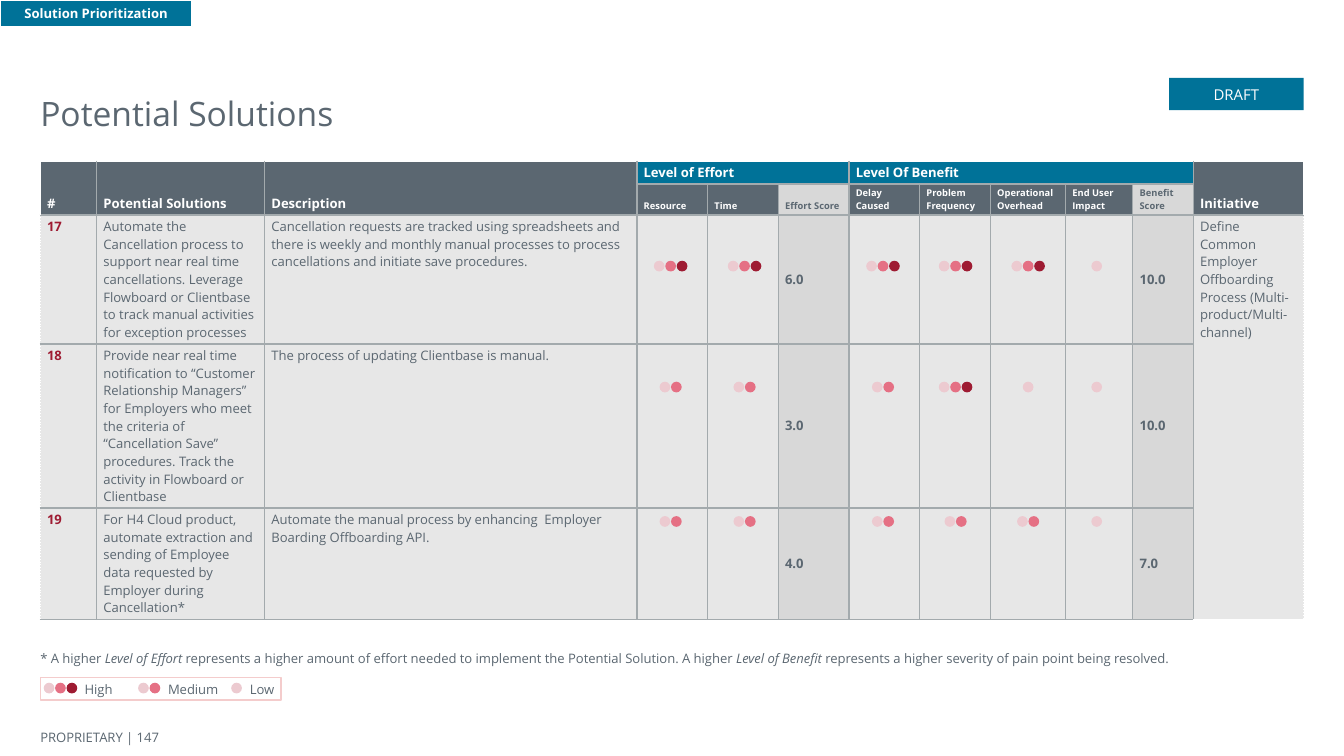
from lxml import etree
from pptx import Presentation
from pptx.dml.color import RGBColor
from pptx.enum.shapes import MSO_SHAPE
from pptx.enum.text import MSO_ANCHOR, PP_ALIGN
from pptx.oxml.ns import qn
from pptx.util import Inches, Pt

RECT, DOT = MSO_SHAPE.RECTANGLE, MSO_SHAPE.FLOWCHART_CONNECTOR
TOP, MIDDLE, BOTTOM = MSO_ANCHOR.TOP, MSO_ANCHOR.MIDDLE, MSO_ANCHOR.BOTTOM
LEFT, CENTER = PP_ALIGN.LEFT, PP_ALIGN.CENTER

COLORS = {
    "slate": "5B6771", "blue": "007298", "white": "FFFFFF", "rule": "A3AAAD",
    "body": "E7E7E7", "score": "D8D8D8", "blush": "F4CCCC",
    "low": "ECCAD0", "medium": "E57084", "high": "9E1B32",
}
FONT = "Open Sans"
LEVELS = ("low", "medium", "high")
DOT_SIZE, DOT_PITCH = 0.08, 0.17 / 2

EQUAL_COLUMNS = [2.63 / 5] * 5
COLUMN_WIDTHS = (0.42, 1.25, 2.77, *EQUAL_COLUMNS, 0.56, 0.5, 0.45, 0.82)
ROW_HEIGHTS = (0.17, 0.23, 0.96, 1.22, 0.83)
EFFORT_SCORE, BENEFIT_SCORE, INITIATIVE = 5, 10, 11
SCORE_COLUMNS = (EFFORT_SCORE, BENEFIT_SCORE)
MERGES = (
    (0, 0, 1, 0), (0, 1, 1, 1), (0, 2, 1, 2), (0, 3, 0, 5),
    (0, 6, 0, 10), (0, 11, 1, 11), (2, 11, 4, 11),
)
HEADINGS = {0: "#", 1: "Potential Solutions", 2: "Description", 3: "Level of Effort",
            6: "Level Of Benefit", INITIATIVE: "Initiative"}
SUBHEADINGS = {3: "Resource", 4: "Time", 5: "Effort Score", 6: "Delay Caused",
               7: "Problem\nFrequency", 8: "Operational Overhead",
               9: "End User Impact", 10: "Benefit Score"}
SOLUTIONS = (
    ("17", "Automate the Cancellation process to support near real time cancellations. "
           "Leverage Flowboard or Clientbase to track manual activities for exception processes",
     "Cancellation requests are tracked using spreadsheets and there is weekly and monthly "
     "manual processes to process cancellations and initiate save procedures.",
     "6.0", "10.0"),
    ("18", "Provide near real time notification to “Customer Relationship Managers” for "
           "Employers who meet the criteria of “Cancellation Save” procedures. "
           "Track the activity in Flowboard or Clientbase",
     "The process of updating Clientbase is manual.", "3.0", "10.0"),
    ("19", "For H4 Cloud product, automate extraction and sending of Employee data "
           "requested by Employer during Cancellation*",
     "Automate the manual process by enhancing  Employer Boarding Offboarding API.",
     "4.0", "7.0"),
)
SHARED_INITIATIVE = "Define Common Employer Offboarding Process (Multi-product/Multi-channel)"

RATING_CENTERS = (4.99, 5.54, 6.57, 7.11, 7.65, 8.16)
RATINGS = {1.94: (3, 3, 3, 3, 3, 1), 2.84: (2, 2, 2, 3, 1, 1), 3.84: (2, 2, 2, 2, 2, 1)}
LEGEND = (("High", 3, 0.45, 0.63, 0.34), ("Medium", 2, 1.11, 1.25, 0.42),
          ("Low", 1, 1.76, 1.86, 0.34))


def rgb(name):
    return RGBColor.from_string(COLORS[name])


class SlideBuilder:
    def __init__(self, slide):
        self.slide = slide

    def style(self, paragraph, size=7, color="slate", bold=False):
        font = paragraph.font
        font.name, font.size, font.bold = FONT, Pt(size), bold
        font.color.rgb = rgb(color)

    def fill_frame(self, frame, text, align=LEFT, anchor=TOP, margin=0.0, **font):
        frame.word_wrap = True
        frame.vertical_anchor = anchor
        frame.margin_left = frame.margin_right = Inches(margin)
        frame.margin_top = frame.margin_bottom = Inches(margin)
        frame.text = text
        for paragraph in frame.paragraphs:
            paragraph.alignment = align
            self.style(paragraph, **font)

    def text(self, left, top, width, height, text, **options):
        box = self.slide.shapes.add_textbox(*map(Inches, (left, top, width, height)))
        self.fill_frame(box.text_frame, text, **options)
        return box.text_frame.paragraphs[0]

    def shape(self, kind, left, top, width, height, fill, line=None, parent=None):
        shapes = (parent or self.slide).shapes
        shape = shapes.add_shape(kind, *map(Inches, (left, top, width, height)))
        shape.shadow.inherit = False
        shape.fill.solid()
        shape.fill.fore_color.rgb = rgb(fill)
        if line:
            shape.line.color.rgb = rgb(line)
            shape.line.width = Pt(0.75)
        else:
            shape.line.fill.background()
        return shape

    def banner(self, left, top, width, height, text, line=None, **font):
        shape = self.shape(RECT, left, top, width, height, "blue", line)
        self.fill_frame(shape.text_frame, text, CENTER, MIDDLE, 0.05, color="white", **font)

    def rating(self, center, top, level):
        """Draw one dot per level, centred on the given x."""
        group = self.slide.shapes.add_group_shape() if level > 1 else None
        left = center - ((level - 1) * DOT_PITCH + DOT_SIZE) / 2
        for step, color in enumerate(LEVELS[:level]):
            self.shape(DOT, left + step * DOT_PITCH, top, DOT_SIZE, DOT_SIZE, color, parent=group)

    def table(self, left, top, widths, heights):
        size = map(Inches, (left, top, sum(widths), sum(heights)))
        table = self.slide.shapes.add_table(len(heights), len(widths), *size).table
        table.horz_banding = False
        for column, width in zip(table.columns, widths):
            column.width = Inches(width)
        for row, height in zip(table.rows, heights):
            row.height = Inches(height)
        return table

    def cell(self, cell, text, fill, borders, anchor=TOP, **font):
        """Borders map a side (L, R, T, B) to a colour name and a dash."""
        cell.margin_left = cell.margin_right = Inches(0.05)
        cell.margin_top = cell.margin_bottom = Inches(0.02)
        cell.vertical_anchor = anchor
        cell.text = text
        for paragraph in cell.text_frame.paragraphs:
            self.style(paragraph, **font)
        cell.fill.solid()
        cell.fill.fore_color.rgb = rgb(fill)
        properties = cell._tc.get_or_add_tcPr()
        for index, side in enumerate("LRTB"):
            color, dash = borders[side]
            border = etree.Element(qn(f"a:ln{side}"), w=str(Pt(0.75)))
            solid = etree.SubElement(border, qn("a:solidFill"))
            etree.SubElement(solid, qn("a:srgbClr"), val=COLORS[color])
            etree.SubElement(border, qn("a:prstDash"), val=dash)
            properties.insert(index, border)


def cell_borders(row, column):
    borders = dict.fromkeys("LRTB", ("rule", "solid"))
    outer = ("white", "solid" if row < 2 else "dot")
    if column == 0:
        borders["L"] = outer
    if column == INITIATIVE:
        borders["R"] = outer
        if row >= 2:
            borders["B"] = ("white", "solid")
    if row == 0:
        borders["T"] = ("white", "solid")
    return borders


def cell_look(row, column):
    """Return fill, anchor and font options for a table position."""
    score = column in SCORE_COLUMNS
    if row == 0:
        grouped = 3 <= column <= BENEFIT_SCORE
        return dict(fill="blue" if grouped else "slate", anchor=MIDDLE if grouped else BOTTOM,
                    color="white", bold=True)
    if row == 1:
        return dict(fill="score" if score else "slate", anchor=BOTTOM, size=5,
                    color="slate" if score else "white", bold=True)
    return dict(fill="score" if score else "body", anchor=MIDDLE if score else TOP,
                color="high" if column == 0 else "slate", bold=score or column == 0)


def add_solutions_table(builder):
    rows = [HEADINGS, SUBHEADINGS]
    for number, solution, description, effort, benefit in SOLUTIONS:
        rows.append({0: number, 1: solution, 2: description,
                     EFFORT_SCORE: effort, BENEFIT_SCORE: benefit})
    rows[2][INITIATIVE] = SHARED_INITIATIVE
    table = builder.table(0.3, 1.2, COLUMN_WIDTHS, ROW_HEIGHTS)
    for top, left, bottom, right in MERGES:
        table.cell(top, left).merge(table.cell(bottom, right))
    for row, texts in enumerate(rows):
        for column in range(len(COLUMN_WIDTHS)):
            builder.cell(table.cell(row, column), texts.get(column, ""),
                         borders=cell_borders(row, column), **cell_look(row, column))


def main():
    deck = Presentation()
    deck.slide_width, deck.slide_height = Inches(10), Inches(10 * 9 / 16)
    builder = SlideBuilder(deck.slides.add_slide(deck.slide_layouts[6]))

    builder.text(0.3, 5.39, 1.38, 0.19, "PROPRIETARY | 147", anchor=MIDDLE)
    builder.shape(RECT, 0.3, 5.04, 1.79, 0.17, "white", "blush")
    for label, level, center, left, width in LEGEND:
        builder.text(left, 5.07, width, 0.12, label)
        builder.rating(center, 5.08, level)

    footnote = builder.text(0.3, 4.84, 8.92, 0.12, "* A higher ")
    for words, italic in (
        ("Level of Effort ", True),
        ("represents a higher amount of effort needed to implement the Potential Solution. "
         "A higher ", False),
        ("Level of Benefit ", True),
        ("represents a higher severity of pain point being resolved.", False),
    ):
        run = footnote.add_run()
        run.text, run.font.italic = words, italic

    builder.text(0.3, 0.24, 9.4, 0.75, "Potential Solutions", anchor=BOTTOM, size=18)
    add_solutions_table(builder)
    builder.banner(8.7, 0.58, 1, 0.24, "DRAFT", size=8)
    for top, levels in RATINGS.items():
        for center, level in zip(RATING_CENTERS, levels):
            builder.rating(center, top, level)
    builder.banner(0, 0, 1.43, 0.2, "Solution Prioritization", "white", bold=True)
    deck.save("out.pptx")


if __name__ == "__main__":
    main()
